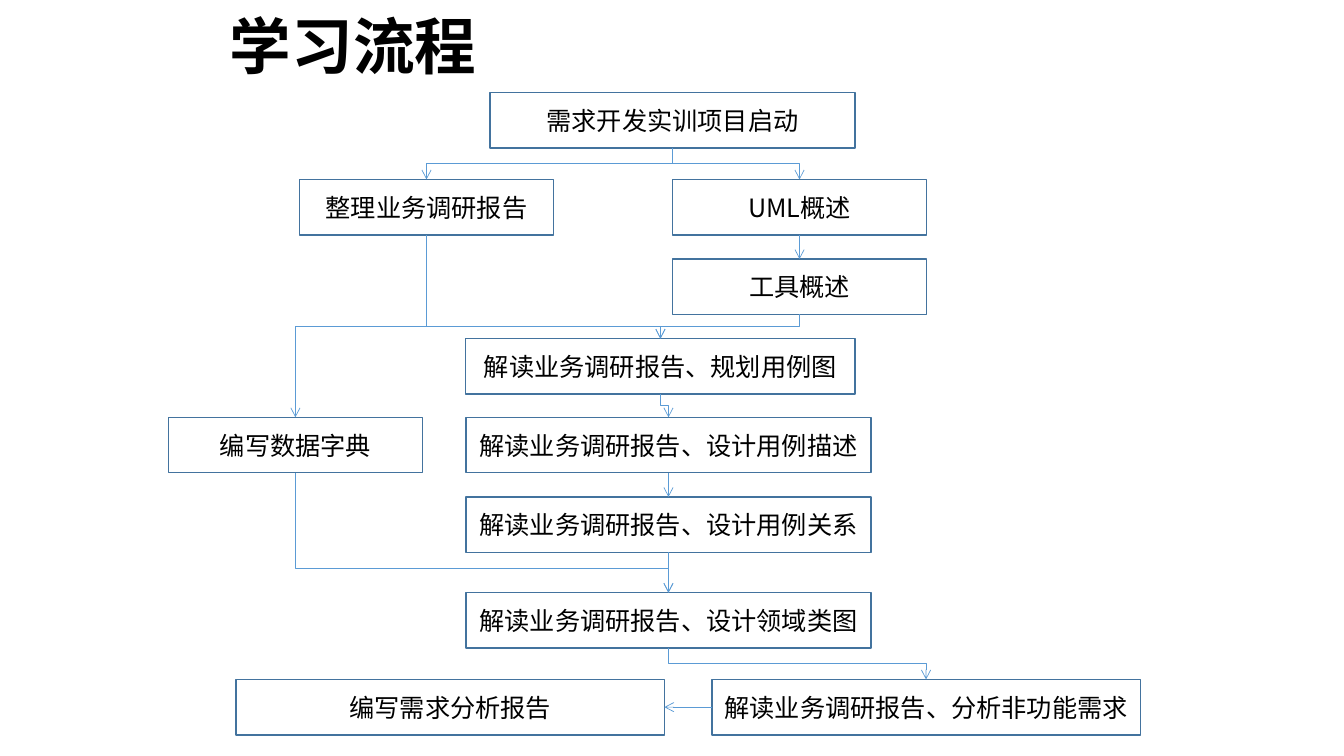
"""Build the learning-process flowchart slide."""
from dataclasses import dataclass

from lxml import etree
from pptx import Presentation
from pptx.dml.color import RGBColor
from pptx.enum.shapes import MSO_CONNECTOR, MSO_SHAPE
from pptx.enum.text import MSO_ANCHOR, MSO_AUTO_SIZE, PP_ALIGN
from pptx.oxml.ns import qn
from pptx.shapes.autoshape import Shape
from pptx.shapes.connector import Connector
from pptx.slide import Slide
from pptx.text.text import TextFrame
from pptx.util import Inches, Pt

RECTANGLE = MSO_SHAPE.RECTANGLE
ELBOW = MSO_CONNECTOR.ELBOW
MIDDLE = MSO_ANCHOR.MIDDLE
LEFT, CENTER = PP_ALIGN.LEFT, PP_ALIGN.CENTER
NO_AUTO_SIZE = MSO_AUTO_SIZE.NONE

BLACK = RGBColor(0x00, 0x00, 0x00)
BOX_BLUE = RGBColor(0x43, 0x73, 0x9E)
ARROW_BLUE = RGBColor(0x5B, 0x9B, 0xD5)
FONT = "Noto Sans CJK SC"
TITLE_ONLY = 5
BOX_HEIGHT = 0.55
TOP_SITE, LEFT_SITE, BOTTOM_SITE, RIGHT_SITE = range(4)


@dataclass(frozen=True)
class Step:
    """A box of the flowchart, in inches."""
    name: str
    text: str
    left: float
    top: float
    width: float

    @property
    def center(self) -> float:
        """Return the horizontal centre."""
        return self.left + self.width / 2

    @property
    def bottom(self) -> float:
        """Return the lower edge."""
        return self.top + BOX_HEIGHT


@dataclass(frozen=True)
class Flow:
    """An arrow between two steps, with the place of its bend."""
    start: str
    end: str
    bend: float = 0.5
    sideways: bool = False


STEPS = [
    Step("start", "需求开发实训项目启动", 4.86, 0.92, 3.62),
    Step("survey", "整理业务调研报告", 2.97, 1.78, 2.52),
    Step("uml", "UML概述", 6.67, 1.78, 2.52),
    Step("tool", "工具概述", 6.67, 2.57, 2.52),
    Step("use_cases", "解读业务调研报告、规划用例图", 4.62, 3.36, 3.86),
    Step("descriptions", "解读业务调研报告、设计用例描述", 4.62, 4.14, 4.02),
    Step("relations", "解读业务调研报告、设计用例关系", 4.62, 4.93, 4.02),
    Step("dictionary", "编写数据字典", 1.67, 4.14, 2.52),
    Step("classes", "解读业务调研报告、设计领域类图", 4.62, 5.88, 4.02),
    Step("non_functional", "解读业务调研报告、分析非功能需求", 7.06, 6.74, 4.25),
    Step("report", "编写需求分析报告", 2.34, 6.74, 4.25),
]

FLOWS = [
    Flow("start", "survey"),
    Flow("start", "uml"),
    Flow("uml", "tool"),
    Flow("tool", "use_cases"),
    Flow("use_cases", "descriptions"),
    Flow("descriptions", "relations"),
    Flow("relations", "classes"),
    Flow("survey", "use_cases", 0.88),
    Flow("survey", "dictionary"),
    Flow("dictionary", "classes", 0.8),
    Flow("classes", "non_functional"),
    Flow("non_functional", "report", sideways=True),
]


def write_text(frame: TextFrame, text: str, *, size: float, bold: bool = False,
               alignment: PP_ALIGN = CENTER, line_spacing: float = 1.0) -> None:
    """Write one formatted paragraph into a text frame."""
    frame.word_wrap = True
    frame.auto_size = NO_AUTO_SIZE
    frame.vertical_anchor = MIDDLE
    paragraph = frame.paragraphs[0]
    paragraph.alignment = alignment
    paragraph.line_spacing = line_spacing
    run = paragraph.add_run()
    run.text = text
    run.font.name = FONT
    run.font.size = Pt(size)
    run.font.bold = bold
    run.font.color.rgb = BLACK
    east_asian = etree.SubElement(run.font._element, qn("a:ea"))
    east_asian.set("typeface", FONT)


def add_title(slide: Slide) -> None:
    """Place and fill the title placeholder."""
    title = slide.shapes.title
    title.left, title.top = Inches(2.18), Inches(0)
    title.width, title.height = Inches(9), Inches(0.99)
    write_text(title.text_frame, "学习流程", size=44, bold=True,
               alignment=LEFT, line_spacing=0.9)


def add_step(slide: Slide, step: Step) -> Shape:
    """Draw one outlined box."""
    shape = slide.shapes.add_shape(RECTANGLE, Inches(step.left), Inches(step.top),
                                   Inches(step.width), Inches(BOX_HEIGHT))
    shape.shadow.inherit = False
    shape.fill.background()
    shape.line.color.rgb = BOX_BLUE
    shape.line.width = Pt(1)
    write_text(shape.text_frame, step.text, size=18)
    return shape


def format_arrow(connector: Connector, bend: float) -> None:
    """Style an elbow connector and set its bend and arrowhead."""
    connector.line.color.rgb = ARROW_BLUE
    connector.line.width = Pt(0.5)
    properties = connector._element.spPr
    line = properties.find(qn("a:ln"))
    etree.SubElement(line, qn("a:tailEnd")).set("type", "arrow")
    etree.SubElement(properties, qn("a:effectLst"))
    guides = properties.find(qn("a:prstGeom")).find(qn("a:avLst"))
    guide = etree.SubElement(guides, qn("a:gd"))
    guide.set("name", "adj1")
    guide.set("fmla", f"val {round(bend * 100000)}")


def add_flow(slide: Slide, flow: Flow, steps: dict[str, Step],
             shapes: dict[str, Shape]) -> None:
    """Draw one arrow glued to its two boxes."""
    start, end = steps[flow.start], steps[flow.end]
    connector = slide.shapes.add_connector(ELBOW, 0, 0, 0, 0)
    begin_site, end_site = ((LEFT_SITE, RIGHT_SITE) if flow.sideways
                            else (BOTTOM_SITE, TOP_SITE))
    connector.begin_connect(shapes[flow.start], begin_site)
    connector.end_connect(shapes[flow.end], end_site)
    if not flow.sideways:
        middle_x = (start.center + end.center) / 2
        middle_y = (start.bottom + end.top) / 2
        half_run = (end.center - start.center) / 2
        half_drop = (end.top - start.bottom) / 2
        connector.begin_x = Inches(middle_x - half_drop)
        connector.begin_y = Inches(middle_y + half_run)
        connector.end_x = Inches(middle_x + half_drop)
        connector.end_y = Inches(middle_y - half_run)
        connector._element.spPr.find(qn("a:xfrm")).set("rot", "5400000")
    format_arrow(connector, flow.bend)


def main() -> None:
    """Build and save the presentation."""
    presentation = Presentation()
    presentation.slide_width = Inches(13.33)
    presentation.slide_height = Inches(7.5)
    slide = presentation.slides.add_slide(presentation.slide_layouts[TITLE_ONLY])
    add_title(slide)
    steps = {step.name: step for step in STEPS}
    shapes = {step.name: add_step(slide, step) for step in STEPS}
    for flow in FLOWS:
        add_flow(slide, flow, steps, shapes)
    presentation.save("out.pptx")


if __name__ == "__main__":
    main()
